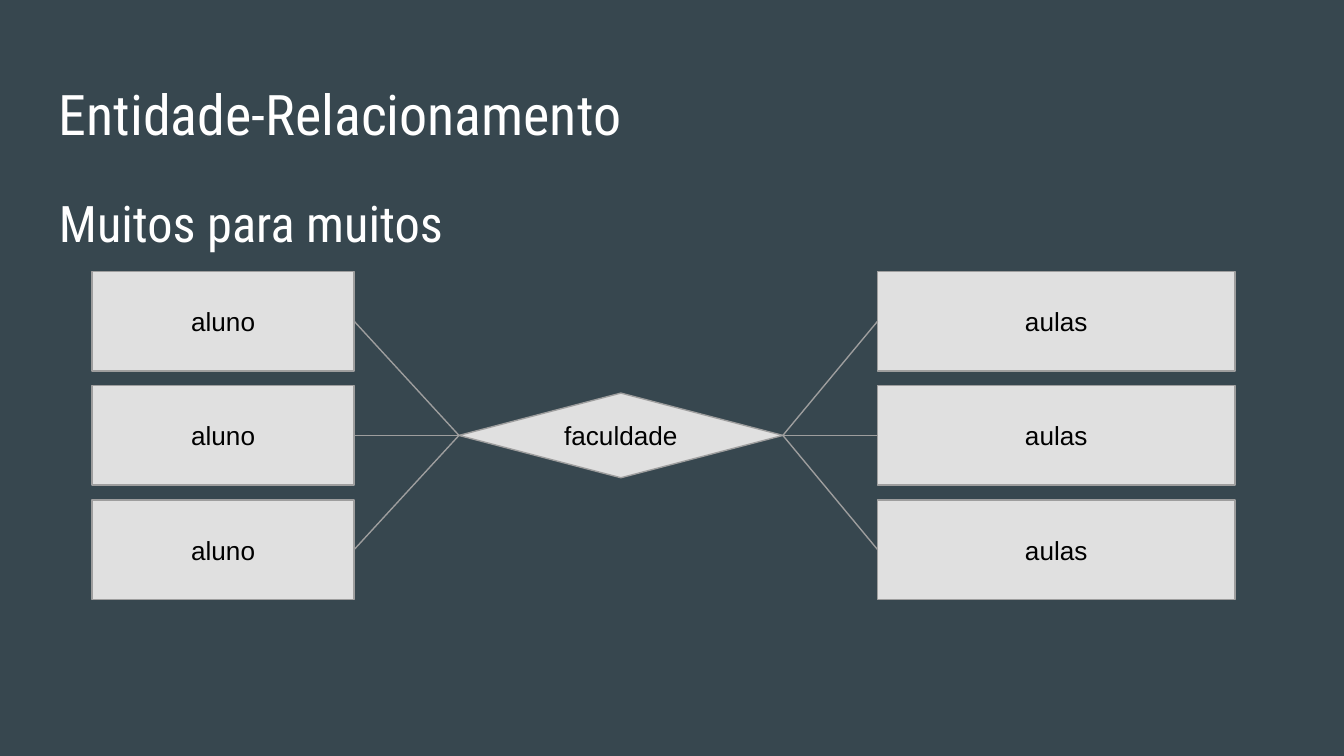
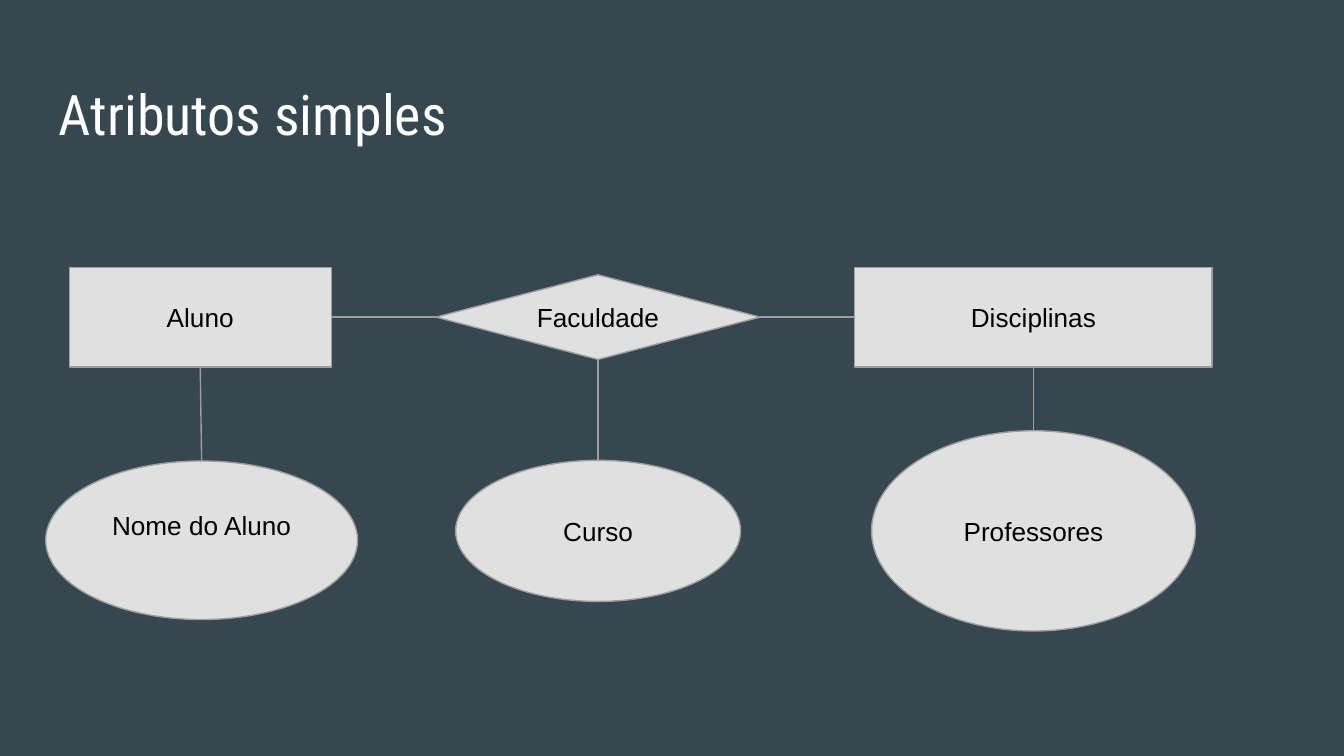
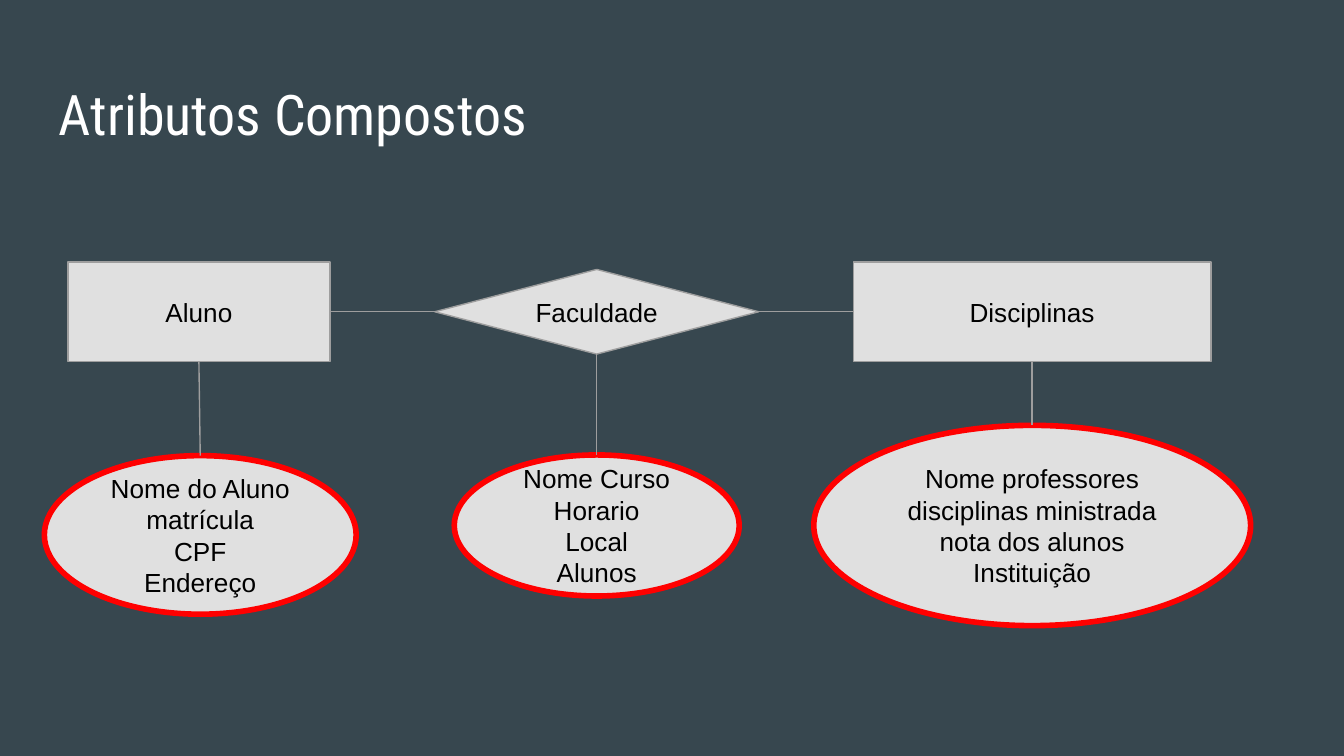
from dataclasses import dataclass

from lxml import etree
from pptx import Presentation, util as u
from pptx.dml.color import RGBColor
from pptx.enum import shapes as sh, text as tx
from pptx.oxml import ns
from pptx.shapes.autoshape import Shape
from pptx.slide import Slide
from pptx.util import Inches

COLORS = {
    "background": "37474F",
    "heading": "FFFFFF",
    "fill": "E0E0E0",
    "outline": "9E9E9E",
    "highlight": "FF0000",
    "label": "000000",
}
HEADING_FONT = "Roboto Condensed"
LABEL_FONT = "Arial"
SLIDE_WIDTH = Inches(10)
SLIDE_HEIGHT = SLIDE_WIDTH * 9 // 16
MARGIN = 0.34
ROW_PITCH = 0.85
TOP, LEFT, BOTTOM, RIGHT = range(4)


@dataclass(frozen=True)
class Node:
    """A diagram form whose centre is measured from the diagram's origin."""
    form: sh.MSO_SHAPE
    center_x: float
    center_y: float
    width: float
    height: float


STUDENT = Node(sh.MSO_SHAPE.RECTANGLE, 0.98, 0.37, 1.95, 0.74)
RELATION = Node(sh.MSO_SHAPE.FLOWCHART_DECISION, 3.94, 0.37, 2.41, 0.63)
SUBJECT = Node(sh.MSO_SHAPE.RECTANGLE, 7.18, 0.37, 2.66, 0.74)
STUDENT_ATTRIBUTE = Node(sh.MSO_SHAPE.OVAL, 0.99, 2.03, 2.32, 1.18)
COURSE_ATTRIBUTE = Node(sh.MSO_SHAPE.OVAL, 3.94, 1.96, 2.12, 1.05)
TEACHER_ATTRIBUTE = Node(sh.MSO_SHAPE.OVAL, 7.18, 1.96, 2.41, 1.49)
WIDE_TEACHER_ATTRIBUTE = Node(sh.MSO_SHAPE.OVAL, 7.18, 1.96, 3.25, 1.49)


@dataclass(frozen=True)
class Attribute:
    node: Node
    text: str
    bottom_inset: float = 0.1


@dataclass(frozen=True)
class AttributeSlide:
    title: str
    origin: tuple[float, float]
    attributes: tuple[Attribute, ...]
    title_width: float = 9.32
    title_height: float = 0.63
    outline: str = "outline"
    outline_width: float = 0.75


ATTRIBUTE_SLIDES = (
    AttributeSlide("Atributos simples", (0.51, 1.99), (
        Attribute(STUDENT_ATTRIBUTE, "Nome do Aluno", bottom_inset=0.33),
        Attribute(COURSE_ATTRIBUTE, "Curso"),
        Attribute(TEACHER_ATTRIBUTE, "Professores"),
    ), title_width=9.27, title_height=0.81),
    AttributeSlide("Atributos Compostos", (0.5, 1.95), (
        Attribute(STUDENT_ATTRIBUTE, "Nome do Aluno\nmatrícula\nCPF\nEndereço"),
        Attribute(COURSE_ATTRIBUTE, "Nome Curso\nHorario\nLocal\nAlunos"),
        Attribute(WIDE_TEACHER_ATTRIBUTE,
                  "Nome professores\ndisciplinas ministrada\nnota dos alunos\nInstituição"),
    ), outline="highlight", outline_width=3),
)


def rgb(name: str) -> RGBColor:
    return RGBColor.from_string(COLORS[name])


def write(shape: Shape, text: str, *, size: float, font: str, color: str,
          align: tx.PP_ALIGN = tx.PP_ALIGN.LEFT,
          anchor: tx.MSO_ANCHOR = tx.MSO_ANCHOR.TOP,
          line_spacing: float = 1.0, bottom_inset: float = 0.1) -> None:
    frame = shape.text_frame
    frame.word_wrap = True
    frame.vertical_anchor = anchor
    frame.margin_left = frame.margin_right = frame.margin_top = Inches(0.1)
    frame.margin_bottom = Inches(bottom_inset)
    frame.text = text
    for paragraph in frame.paragraphs:
        paragraph.alignment = align
        paragraph.line_spacing = line_spacing
        for run in paragraph.runs:
            run.font.size = u.Pt(size)
            run.font.name = font
            run.font.color.rgb = rgb(color)


def add_heading(slide: Slide, text: str, *, top: float, width: float, height: float,
                size: float, line_spacing: float = 1.0) -> None:
    heading = slide.shapes.add_textbox(
        Inches(MARGIN), Inches(top), Inches(width), Inches(height))
    write(heading, text, size=size, font=HEADING_FONT, color="heading",
          line_spacing=line_spacing)


def add_titled_slide(deck: Presentation, title: str, width: float = 9.32,
                     height: float = 0.63) -> Slide:
    slide = deck.slides.add_slide(deck.slide_layouts[6])
    slide.background.fill.solid()
    slide.background.fill.fore_color.rgb = rgb("background")
    add_heading(slide, title, top=0.49, width=width, height=height, size=30)
    return slide


def add_node(slide: Slide, node: Node, text: str, origin: tuple[float, float], *,
             row: int = 0, outline: str = "outline", outline_width: float = 0.75,
             bottom_inset: float = 0.1) -> Shape:
    left = origin[0] + node.center_x - node.width / 2
    top = origin[1] + node.center_y - node.height / 2 + row * ROW_PITCH
    shape = slide.shapes.add_shape(
        node.form, Inches(left), Inches(top), Inches(node.width), Inches(node.height))
    shape.shadow.inherit = False
    shape.fill.solid()
    shape.fill.fore_color.rgb = rgb("fill")
    shape.line.color.rgb = rgb(outline)
    shape.line.width = u.Pt(outline_width)
    write(shape, text, size=14, font=LABEL_FONT, color="label",
          align=tx.PP_ALIGN.CENTER, anchor=tx.MSO_ANCHOR.MIDDLE,
          bottom_inset=bottom_inset)
    return shape


def join(slide: Slide, start: Shape, start_side: int, end: Shape, end_side: int) -> None:
    link = slide.shapes.add_connector(sh.MSO_CONNECTOR.STRAIGHT, 0, 0, 0, 0)
    link.begin_connect(start, start_side)
    link.end_connect(end, end_side)
    link.line.color.rgb = rgb("outline")
    link.line.width = u.Pt(0.75)
    etree.SubElement(link.element.spPr, ns.qn("a:effectLst"))


def build_many_to_many(deck: Presentation) -> None:
    slide = add_titled_slide(deck, "Entidade-Relacionamento")
    add_heading(slide, "Muitos para muitos", top=1.26, width=9.32, height=3.74,
                size=27, line_spacing=1.15)
    origin = (0.68, 2.02)
    college = add_node(slide, RELATION, "faculdade", origin, row=1)
    for row in range(3):
        student = add_node(slide, STUDENT, "aluno", origin, row=row)
        lesson = add_node(slide, SUBJECT, "aulas", origin, row=row)
        join(slide, student, RIGHT, college, LEFT)
        join(slide, lesson, LEFT, college, RIGHT)


def build_attributes(deck: Presentation, content: AttributeSlide) -> None:
    slide = add_titled_slide(deck, content.title, content.title_width,
                             content.title_height)
    student = add_node(slide, STUDENT, "Aluno", content.origin)
    college = add_node(slide, RELATION, "Faculdade", content.origin)
    subject = add_node(slide, SUBJECT, "Disciplinas", content.origin)
    join(slide, student, RIGHT, college, LEFT)
    join(slide, college, RIGHT, subject, LEFT)
    for owner, attribute in zip((student, college, subject), content.attributes):
        detail = add_node(slide, attribute.node, attribute.text, content.origin,
                          outline=content.outline, outline_width=content.outline_width,
                          bottom_inset=attribute.bottom_inset)
        join(slide, detail, TOP, owner, BOTTOM)


def main() -> None:
    deck = Presentation()
    deck.slide_width = SLIDE_WIDTH
    deck.slide_height = SLIDE_HEIGHT
    build_many_to_many(deck)
    for content in ATTRIBUTE_SLIDES:
        build_attributes(deck, content)
    deck.save("out.pptx")


if __name__ == "__main__":
    main()
